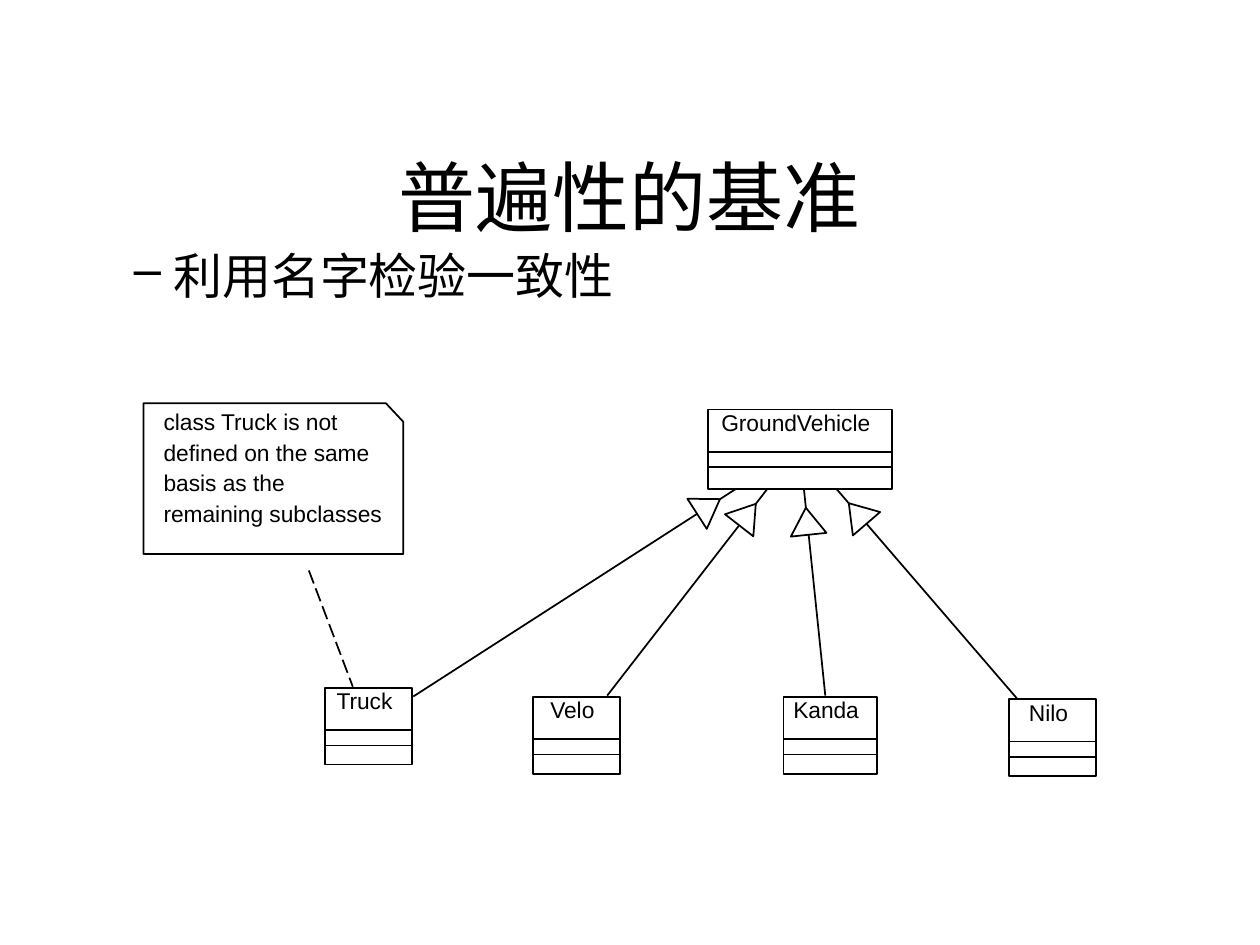
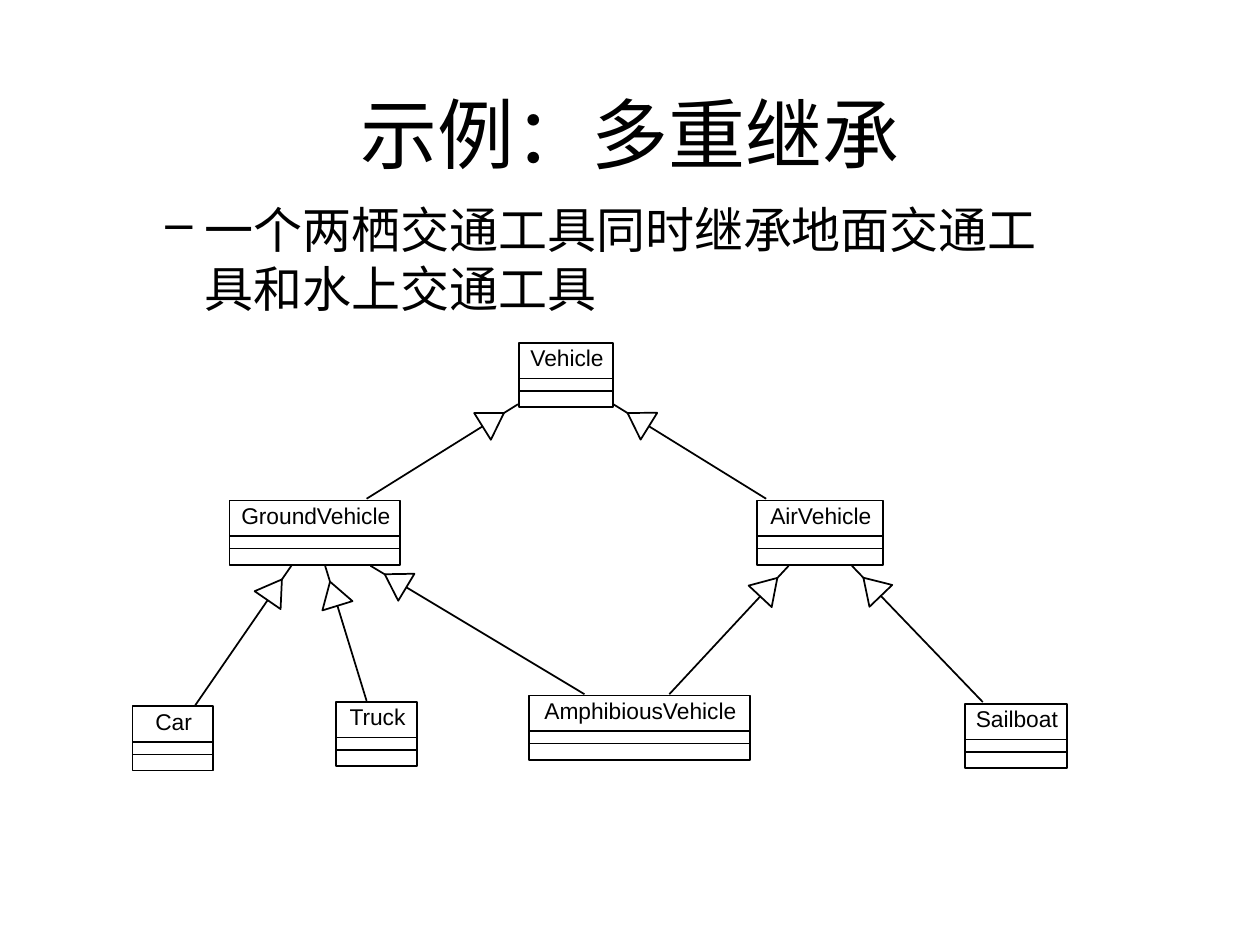
import math

from lxml import etree
from pptx import Presentation
from pptx import util as u
from pptx.dml.color import RGBColor
from pptx.enum import dml, shapes, text
from pptx.oxml.ns import qn

Pt = u.Pt
COLORS = {"ink": "000000", "paper": "FFFFFF"}
TITLE_FONT, LABEL_FONT = "Times New Roman", "Arial"
TITLE_ONLY = 5


# Formatting helpers
def rgb(name):
    return RGBColor.from_string(COLORS[name])


def outline(shape):
    shape.line.color.rgb = rgb("ink")
    shape.line.width = Pt(1)


def format_text(frame, content, size=13, font=LABEL_FONT, align=None,
                anchor=text.MSO_ANCHOR.TOP, insets=(7.2, 3.6), wrap=True,
                spacing=None, bullet=None):
    frame.word_wrap = wrap
    frame.auto_size = text.MSO_AUTO_SIZE.NONE
    frame.vertical_anchor = anchor
    frame.margin_left = frame.margin_right = Pt(insets[0])
    frame.margin_top = frame.margin_bottom = Pt(insets[1])
    paragraph = frame.paragraphs[0]
    paragraph.alignment = align
    if spacing:
        paragraph.line_spacing = Pt(spacing)
    if bullet:
        paragraph.level = 1
        properties = paragraph._p.get_or_add_pPr()
        properties.set("marL", str(Pt(45)))
        properties.set("indent", str(Pt(-22.5)))
        etree.SubElement(properties, qn("a:buChar")).set("char", bullet)
    run = paragraph.add_run()
    run.text = content
    run.font.size = Pt(size)
    run.font.name = font
    run.font.color.rgb = rgb("ink")


def add_text(slide, content, left, top, width, height, **style):
    box = slide.shapes.add_textbox(Pt(left), Pt(top), Pt(width), Pt(height))
    format_text(box.text_frame, content, **style)


# Slide frame
def add_titled_slide(presentation, title, top, height):
    slide = presentation.slides.add_slide(presentation.slide_layouts[TITLE_ONLY])
    holder = slide.shapes.title
    holder.left, holder.top = Pt(54), Pt(top)
    holder.width, holder.height = Pt(612), Pt(height)
    format_text(holder.text_frame, title, size=44, font=TITLE_FONT,
                align=text.PP_ALIGN.CENTER, anchor=text.MSO_ANCHOR.BOTTOM,
                insets=(0, 0))
    return slide


def add_point(slide, content, left, top, width, height, spacing=None):
    add_text(slide, content, left, top, width, height, size=28, font=TITLE_FONT,
             insets=(0, 0), spacing=spacing, bullet="–")


# Diagram elements
def add_line(slide, start, end, dash=None):
    line = slide.shapes.add_connector(
        shapes.MSO_CONNECTOR.STRAIGHT, *(Pt(value) for value in (*start, *end)))
    outline(line)
    if dash:
        line.line.dash_style = dash
    etree.SubElement(line._element.spPr, qn("a:effectLst"))


def add_polygon(slide, points, fill=None):
    corners = [(Pt(x), Pt(y)) for x, y in points]
    builder = slide.shapes.build_freeform(*corners[0], scale=1.0)
    builder.add_line_segments(corners[1:], close=True)
    shape = builder.convert_to_shape()
    shape.shadow.inherit = False
    outline(shape)
    if fill:
        shape.fill.solid()
        shape.fill.fore_color.rgb = rgb(fill)
    else:
        shape.fill.background()


def add_class(slide, name, left, top, width, height, dividers, label_shift):
    """Draw a class box with its name and two empty compartments."""
    box = slide.shapes.add_shape(shapes.MSO_SHAPE.RECTANGLE, Pt(left), Pt(top),
                                 Pt(width), Pt(height))
    box.shadow.inherit = False
    box.fill.background()
    outline(box)
    shift_x, shift_y = label_shift
    add_text(slide, name, left + shift_x, top + shift_y, width, 23,
             align=text.PP_ALIGN.CENTER, wrap=False)
    for offset in dividers:
        add_line(slide, (left, top + offset), (left + width, top + offset))


def add_inheritance(slide, child, parent, gap, length, width):
    """Draw a line to the parent with a hollow triangle just before its end."""
    add_line(slide, child, parent)
    distance = math.dist(child, parent)
    dx = (child[0] - parent[0]) / distance
    dy = (child[1] - parent[1]) / distance

    def along(back, side):
        return parent[0] + dx * back - dy * side, parent[1] + dy * back + dx * side

    base = gap + length
    add_polygon(slide, [along(gap, 0), along(base, width / 2),
                        along(base, -width / 2)], fill="paper")


# Slides
def build_naming_slide(presentation):
    slide = add_titled_slide(presentation, "普遍性的基准", 48, 90)
    add_point(slide, "利用名字检验一致性", 54, 156, 612, 29, spacing=18)

    style = {"dividers": (24.2, 33), "label_shift": (-2.4, -4)}
    add_class(slide, "GroundVehicle", 404.6, 234, 105, 45.4, **style)
    for name, left, top, width in [("Truck", 185.8, 393, 49.7),
                                   ("Velo", 304.6, 398.2, 49.7),
                                   ("Kanda", 447.8, 398.2, 53.3),
                                   ("Nilo", 576.7, 399.5, 49.7)]:
        add_class(slide, name, left, top, width, 44, **style)

    parent_bottom = 279.4
    for child, parent_x in [((236.2, 398), 420.5), ((347, 397.5), 438.5),
                            ((471.6, 397.5), 459.4), ((581, 399), 478)]:
        add_inheritance(slide, child, (parent_x, parent_bottom),
                        gap=10.8, length=15.5, width=20.5)

    # Note with a cut corner
    add_text(slide, "class Truck is not defined on the same basis as the "
             "remaining subclasses", 86.4, 228, 141, 77, spacing=17.4)
    add_line(slide, (176.5, 326), (201.6, 392.4), dash=dml.MSO_LINE.LONG_DASH)
    add_polygon(slide, [(82, 230.4), (220.5, 230.4), (230.4, 241),
                        (230.4, 316.6), (82, 316.6)])


def build_multiple_inheritance_slide(presentation):
    slide = add_titled_slide(presentation, "示例：多重继承", 30, 72)
    add_point(slide, "一个两栖交通工具同时继承地面交通工具和水上交通工具",
              72, 114, 543.6, 67)

    for name, left, top, width in [("Vehicle", 296.5, 196, 54),
                                   ("GroundVehicle", 131.2, 286, 97.5),
                                   ("AirVehicle", 432.5, 286, 72),
                                   ("Car", 75.7, 403.6, 46),
                                   ("Truck", 192.2, 401.2, 46),
                                   ("AmphibiousVehicle", 302.2, 397.4, 126.3),
                                   ("Sailboat", 551.3, 402.3, 58.5)]:
        add_class(slide, name, left, top, width, 36.8,
                  dividers=(20.3, 27.5), label_shift=(0.5, -3))

    top_end, middle_end = 231, 323.3
    for child, parent in [((209.5, 285), (296, top_end)),
                          ((437.8, 285), (350.5, top_end)),
                          ((111.6, 403), (166.5, middle_end)),
                          ((209.5, 400.5), (185.8, middle_end)),
                          ((561.6, 401.2), (486.8, middle_end)),
                          ((334, 396.7), (211.7, middle_end)),
                          ((382.5, 396.7), (450.7, middle_end))]:
        add_inheritance(slide, child, parent, gap=9.5, length=14.4, width=18)


def main():
    presentation = Presentation()
    presentation.slide_width, presentation.slide_height = Pt(720), Pt(540)
    build_naming_slide(presentation)
    build_multiple_inheritance_slide(presentation)
    presentation.save("out.pptx")


if __name__ == "__main__":
    main()
